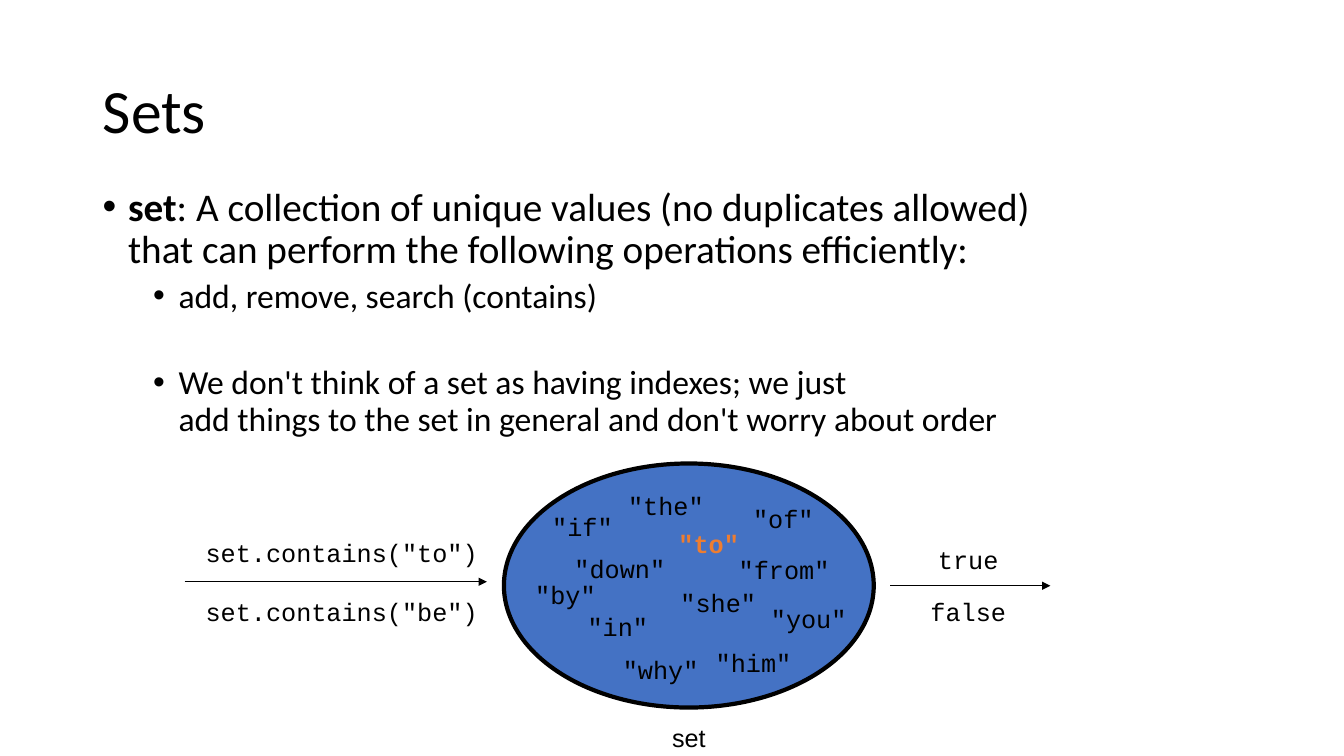
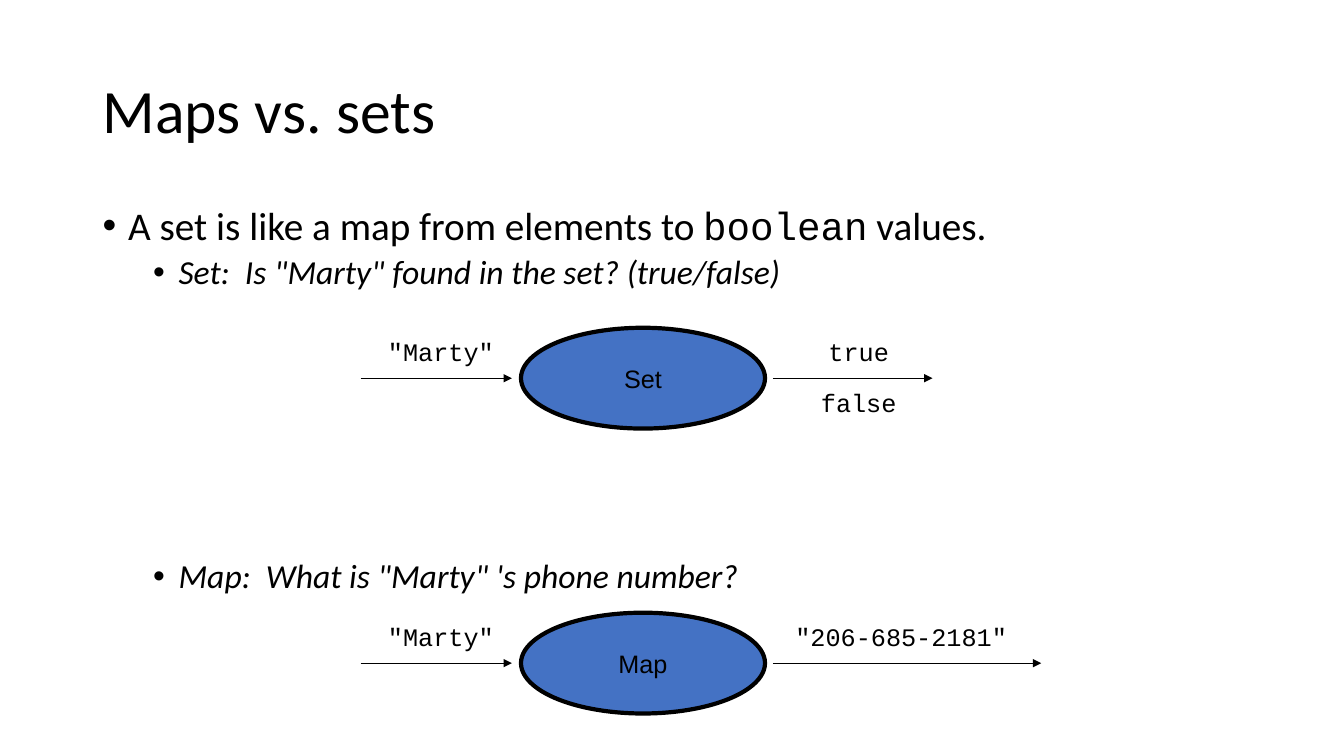
from lxml import etree
from pptx import Presentation
from pptx.dml.color import RGBColor
from pptx.enum.shapes import MSO_CONNECTOR, MSO_SHAPE
from pptx.enum.text import MSO_ANCHOR, PP_ALIGN
from pptx.oxml.ns import qn
from pptx.util import Cm, Pt

STRAIGHT, ELLIPSE = MSO_CONNECTOR.STRAIGHT, MSO_SHAPE.OVAL
MIDDLE, CENTER = MSO_ANCHOR.MIDDLE, PP_ALIGN.CENTER

# Shared style
BLACK, BLUE, ORANGE = "000000", "4472C4", "ED7D31"
BODY_FONT, CODE_FONT, CAPTION_FONT = "Calibri", "Courier New", "Arial"
TITLE_SIZE, LABEL_SIZE = 44, 18
LEVELS = [  # size in points, space before in points, left margin in cm
    {"size": 28, "before": 10, "margin": 0.64},
    {"size": 24, "before": 5, "margin": 1.91},
]
HANGING = 0.64
TEXT_LEFT, TEXT_WIDTH = 2.34, 29.21
TITLE_TOP, TITLE_HEIGHT, BODY_HEIGHT = 1.02, 3.68, 12.09
CHAR_WIDTH, LABEL_PADDING, LABEL_HEIGHT = 0.39, 0.6, 1.02

# Content: bullets are (level, space before or None, [(text, style), ...])
SETS_BULLETS = [
    (0, None, [("set", "bold"),
               (": A collection of unique values (no duplicates allowed)\n"
                "that can perform the following operations efficiently:", "")]),
    (1, None, [("add, remove, search (contains)", "")]),
    (1, 36, [("We don't think of a set as having indexes; we just\n"
              "add things to the set in general and don't worry about order", "")]),
]
MAPS_BULLETS = [
    (0, None, [("A set is like a map from elements to ", ""),
               ("boolean", "code"), (" values.", "")]),
    (1, None, [('Set:  Is "Marty" found in the set? (true/false)', "italic")]),
    (1, 191, [('Map:  What is "Marty" \'s phone number?', "italic")]),
]

# Set diagram: left, top, width, height; words and calls are (text, centre, top)
SET_OVAL = (12.7, 11.68, 9.32, 6.15)
SET_WORDS = [
    ('"the"', 16.78, 12.22), ('"of"', 19.74, 12.55), ('"from"', 19.76, 13.84),
    ('"to"', 17.86, 13.18), ('"she"', 18.1, 14.68), ('"you"', 20.38, 15.09),
    ('"him"', 18.99, 16.18), ('"why"', 16.65, 16.36), ('"in"', 15.57, 15.29),
    ('"down"', 15.62, 13.82), ('"by"', 14.25, 14.48), ('"if"', 14.68, 12.75),
]
FOUND_WORD = '"to"'
SET_CALLS = [
    ('set.contains("to")', 8.61, 13.41), ('set.contains("be")', 8.61, 14.91),
    ("true", 24.4, 13.59), ("false", 24.4, 14.91),
]
SET_ARROWS = [(4.65, 12.27, 14.66), (22.43, 26.47, 14.76)]  # start, end, y

# Lookup diagrams of the second slide
LOOKUPS = [
    {"name": "Set", "y": 9.53, "key": '"Marty"', "above": "true",
     "below": "false", "result_x": 21.64, "arrow_end": 23.5},
    {"name": "Map", "y": 16.71, "key": '"Marty"', "above": '"206-685-2181"',
     "below": None, "result_x": 22.71, "arrow_end": 26.24},
]
LOOKUP_LEFT, LOOKUP_WIDTH, LOOKUP_HEIGHT = 13.13, 6.15, 2.54
KEY_ARROW, KEY_X, RESULT_START = (9.09, 12.9), 11.11, 19.48
ABOVE_LINE, BELOW_LINE = -1.17, 0.1


def color(hex_string):
    return RGBColor.from_string(hex_string)


def style(font, name, size, hex_color=BLACK, bold=False, italic=False):
    font.name, font.size = name, Pt(size)
    font.color.rgb = color(hex_color)
    font.bold, font.italic = bold, italic


def add_title(slide, text):
    box = slide.shapes.add_textbox(
        Cm(TEXT_LEFT), Cm(TITLE_TOP), Cm(TEXT_WIDTH), Cm(TITLE_HEIGHT))
    frame = box.text_frame
    frame.word_wrap, frame.vertical_anchor = True, MIDDLE
    frame.text = text
    frame.paragraphs[0].line_spacing = 0.9
    style(frame.paragraphs[0].runs[0].font, BODY_FONT, TITLE_SIZE)


def add_bullet_mark(paragraph, margin):
    properties = paragraph._p.get_or_add_pPr()
    properties.set("marL", str(Cm(margin)))
    properties.set("indent", str(-Cm(HANGING)))
    etree.SubElement(properties, qn("a:buFont"), typeface="Arial")
    etree.SubElement(properties, qn("a:buChar"), char="•")


def add_bullets(slide, top, bullets):
    box = slide.shapes.add_textbox(
        Cm(TEXT_LEFT), Cm(top), Cm(TEXT_WIDTH), Cm(BODY_HEIGHT))
    frame = box.text_frame
    frame.word_wrap = True
    for index, (level, before, pieces) in enumerate(bullets):
        paragraph = frame.add_paragraph() if index else frame.paragraphs[0]
        look = LEVELS[level]
        paragraph.level = level
        paragraph.line_spacing = 0.9
        paragraph.space_before = Pt(before or look["before"])
        add_bullet_mark(paragraph, look["margin"])
        for text, kind in pieces:
            for number, line in enumerate(text.split("\n")):
                if number:
                    paragraph.add_line_break()
                run = paragraph.add_run()
                run.text = line
                style(run.font, CODE_FONT if kind == "code" else BODY_FONT,
                      look["size"], bold=kind == "bold", italic=kind == "italic")


def add_label(slide, text, center, top, font=CODE_FONT, hex_color=BLACK, bold=False):
    width = len(text) * CHAR_WIDTH + LABEL_PADDING
    box = slide.shapes.add_textbox(
        Cm(center - width / 2), Cm(top), Cm(width), Cm(LABEL_HEIGHT))
    frame = box.text_frame
    frame.word_wrap = False
    frame.text = text
    frame.paragraphs[0].alignment = CENTER
    style(frame.paragraphs[0].runs[0].font, font, LABEL_SIZE, hex_color, bold)


def add_oval(slide, left, top, width, height, text=None):
    oval = slide.shapes.add_shape(ELLIPSE, Cm(left), Cm(top), Cm(width), Cm(height))
    oval.shadow.inherit = False
    oval.fill.solid()
    oval.fill.fore_color.rgb = color(BLUE)
    oval.line.color.rgb = color(BLACK)
    oval.line.width = Pt(3)
    if text:
        frame = oval.text_frame
        frame.word_wrap, frame.vertical_anchor = False, MIDDLE
        frame.text = text
        frame.paragraphs[0].alignment = CENTER
        style(frame.paragraphs[0].runs[0].font, CAPTION_FONT, LABEL_SIZE)


def add_arrow(slide, start, end, y):
    arrow = slide.shapes.add_connector(STRAIGHT, Cm(start), Cm(y), Cm(end), Cm(y))
    arrow.line.color.rgb = color(BLACK)
    arrow.line.width = Pt(0.75)
    etree.SubElement(arrow.line._get_or_add_ln(), qn("a:tailEnd"), type="triangle")
    etree.SubElement(arrow._element.spPr, qn("a:effectLst"))


def new_slide(deck, title, body_top, bullets):
    slide = deck.slides.add_slide(deck.slide_layouts[6])
    add_title(slide, title)
    add_bullets(slide, body_top, bullets)
    return slide


def build_sets(deck):
    slide = new_slide(deck, "Sets", 4.6, SETS_BULLETS)
    for start, end, y in SET_ARROWS:
        add_arrow(slide, start, end, y)
    add_oval(slide, *SET_OVAL)
    left, _, width, _ = SET_OVAL
    add_label(slide, "set", left + width / 2, 18.08, font=CAPTION_FONT)
    for text, center, top in SET_WORDS + SET_CALLS:
        found = text == FOUND_WORD
        add_label(slide, text, center, top,
                  hex_color=ORANGE if found else BLACK, bold=found)


def build_maps(deck):
    slide = new_slide(deck, "Maps vs. sets", 5.08, MAPS_BULLETS)
    for lookup in LOOKUPS:
        y = lookup["y"]
        add_oval(slide, LOOKUP_LEFT, y - LOOKUP_HEIGHT / 2,
                 LOOKUP_WIDTH, LOOKUP_HEIGHT, lookup["name"])
        add_arrow(slide, *KEY_ARROW, y)
        add_label(slide, lookup["key"], KEY_X, y + ABOVE_LINE)
        add_arrow(slide, RESULT_START, lookup["arrow_end"], y)
        add_label(slide, lookup["above"], lookup["result_x"], y + ABOVE_LINE)
        if lookup["below"]:
            add_label(slide, lookup["below"], lookup["result_x"], y + BELOW_LINE)


def main():
    deck = Presentation()
    deck.slide_width, deck.slide_height = Cm(33.87), Cm(19.05)
    build_sets(deck)
    build_maps(deck)
    deck.save("out.pptx")


if __name__ == "__main__":
    main()
